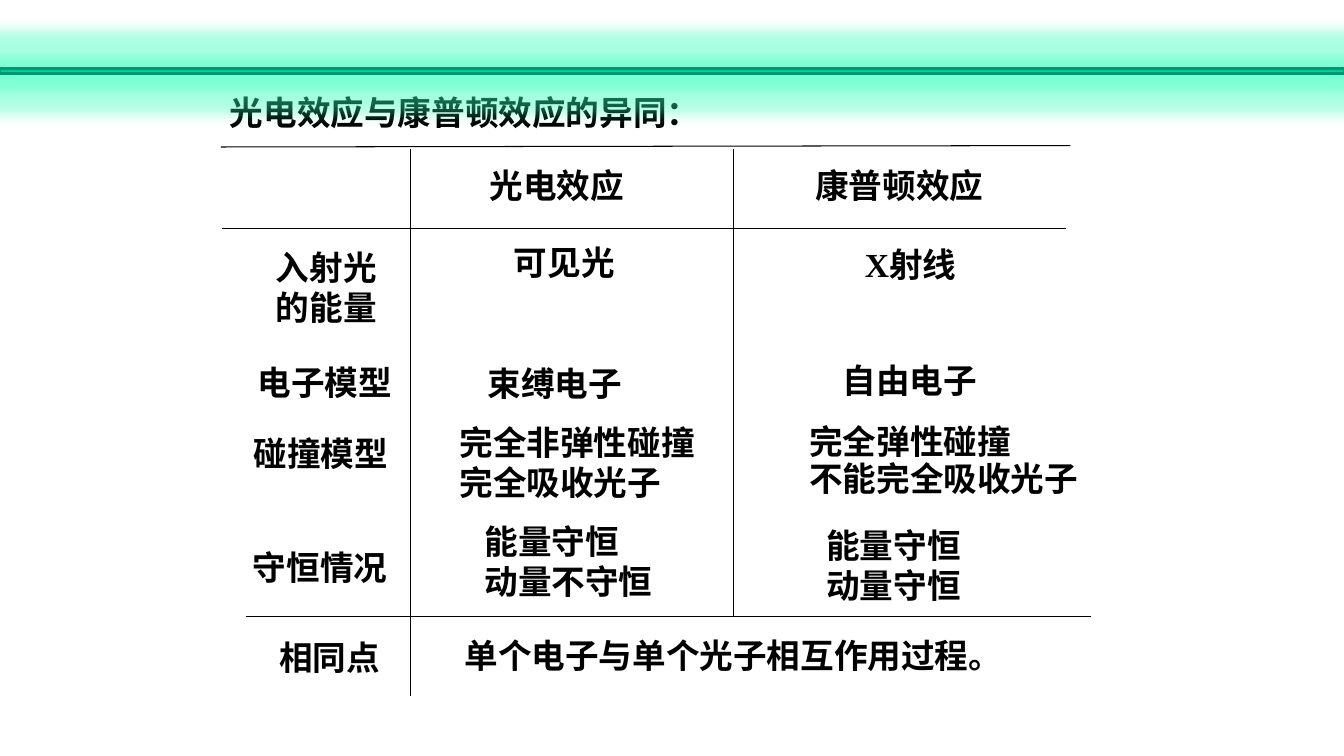
"""Build a slide comparing the photoelectric and Compton effects."""
from lxml.etree import SubElement
from pptx import Presentation
from pptx.dml.color import RGBColor
from pptx.enum.shapes import MSO_CONNECTOR, MSO_SHAPE
from pptx.enum.text import MSO_ANCHOR, MSO_AUTO_SIZE, PP_ALIGN
from pptx.oxml.ns import qn
from pptx.util import Pt

BLACK = RGBColor(0, 0, 0)
WHITE = RGBColor(255, 255, 255)
GREEN = RGBColor(0, 0xCC, 0x99)
DARK = RGBColor(0, 0x97, 0x71)
GLOW = "2DFFB9"
FONT = "Times New Roman"
SIZE = 24
LINE = 28.8
PAD = 3.6

TITLE = ("光电效应与康普顿效应的异同：", 157, 62, 387)
CELLS = [
    ("光电效应", 342.7, 114.5, 112.3),
    ("康普顿效应", 575.3, 114.5, 136),
    ("入射光\n的能量", 190, 172.8, 87.8),
    ("可见光", 360, 169.2, 87.8),
    ("X射线", 610.6, 170.6, 80.6),
    ("电子模型", 177, 254.9, 121),
    ("束缚电子", 341.3, 255.6, 121),
    ("自由电子", 594.7, 253.4, 121),
    ("碰撞模型", 174.2, 306, 121),
    ("守恒情况", 173.5, 387.4, 118.8),
    ("能量守恒\n动量不守恒", 339, 368.6, 136),
    ("能量守恒\n动量守恒", 583.2, 371.5, 112.3),
    ("单个电子与单个光子相互作用过程。", 324.7, 450, 422.6),
]
TIGHT = [
    ("完全非弹性碰撞\n完全吸收光子", 321.1, 298, 184.3, 0.4),
    ("完全弹性碰撞\n不能完全吸收光子", 571, 297.4, 208, 0.3),
]
SAME = ("相同点", 179.3, 451.4, 112.3)
RULES = [
    (157.7, 105, 764.6, 104),
    (158.4, 163.4, 761.8, 163.4),
    (175.7, 440.6, 779, 440.6),
    (524.2, 106.6, 524.2, 440),
    (293, 106.6, 293, 496.8),
]


def style(box, text, left, top, width):
    """Place a text shape and format its words."""
    box.left, box.top, box.width = Pt(left), Pt(top), Pt(width)
    box.height = Pt(LINE * (text.count("\n") + 1) + 2 * PAD)
    frame = box.text_frame
    frame.text = text
    frame.word_wrap = True
    frame.auto_size = MSO_AUTO_SIZE.NONE
    frame.vertical_anchor = MSO_ANCHOR.TOP
    for para in frame.paragraphs:
        para.alignment = PP_ALIGN.LEFT
        for run in para.runs:
            font = run.font
            font.name, font.size, font.bold = FONT, Pt(SIZE), True
            font.color.rgb = BLACK
    return frame


def label(slide, *cell):
    """Add one text box and return its frame."""
    return style(slide.shapes.add_textbox(0, 0, 0, 0), *cell)


def band(slide):
    """Add the glowing green bar across the top."""
    bar = slide.shapes.add_shape(MSO_SHAPE.RECTANGLE, 0, Pt(49), Pt(960), Pt(3.6))
    bar.shadow.inherit = False
    bar.fill.solid()
    bar.fill.fore_color.rgb = GREEN
    bar.line.color.rgb = DARK
    bar.line.width = Pt(2)
    effect = bar._element.spPr.find(qn("a:effectLst"))
    glow = SubElement(effect, qn("a:glow"), rad=str(Pt(18)))
    tint = SubElement(glow, qn("a:srgbClr"), val=GLOW)
    SubElement(tint, qn("a:alpha"), val="40000")


def main():
    """Assemble and save the slide."""
    deck = Presentation()
    deck.slide_width, deck.slide_height = Pt(960), Pt(540)
    slide = deck.slides.add_slide(deck.slide_layouts[5])
    slide.background.fill.solid()
    slide.background.fill.fore_color.rgb = WHITE
    band(slide)
    style(slide.shapes.title, *TITLE)
    for cell in CELLS:
        label(slide, *cell)
    for *cell, space in TIGHT:
        last = label(slide, *cell).paragraphs[1]
        last.line_spacing = space
        last.space_before = Pt(LINE / 2)
    label(slide, *SAME).paragraphs[0].alignment = PP_ALIGN.CENTER
    for ends in RULES:
        rule = slide.shapes.add_connector(MSO_CONNECTOR.STRAIGHT, *map(Pt, ends))
        rule.line.color.rgb = BLACK
        rule.line.width = Pt(0.75)
        SubElement(rule._element.spPr, qn("a:effectLst"))
    deck.save("out.pptx")


if __name__ == "__main__":
    main()
